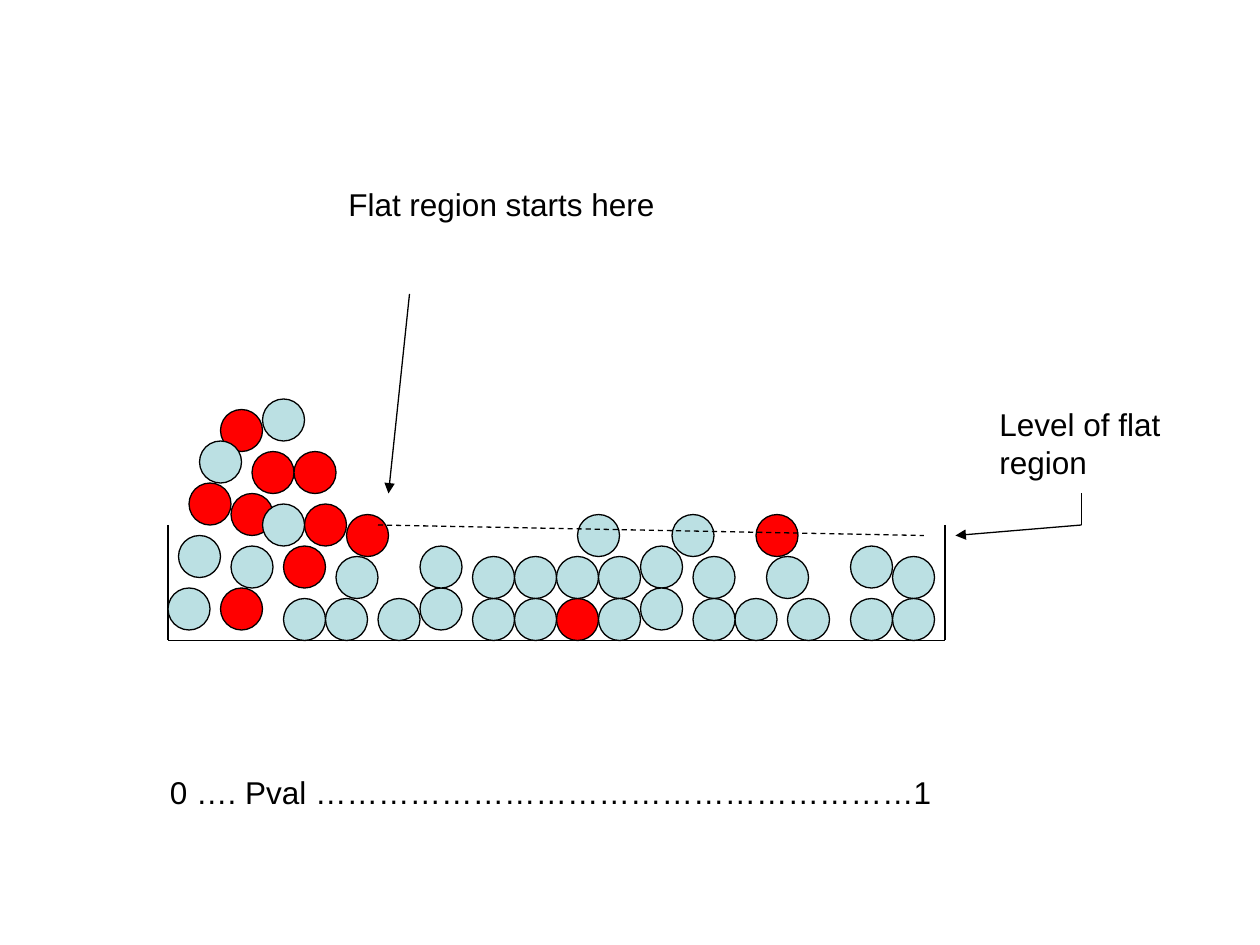
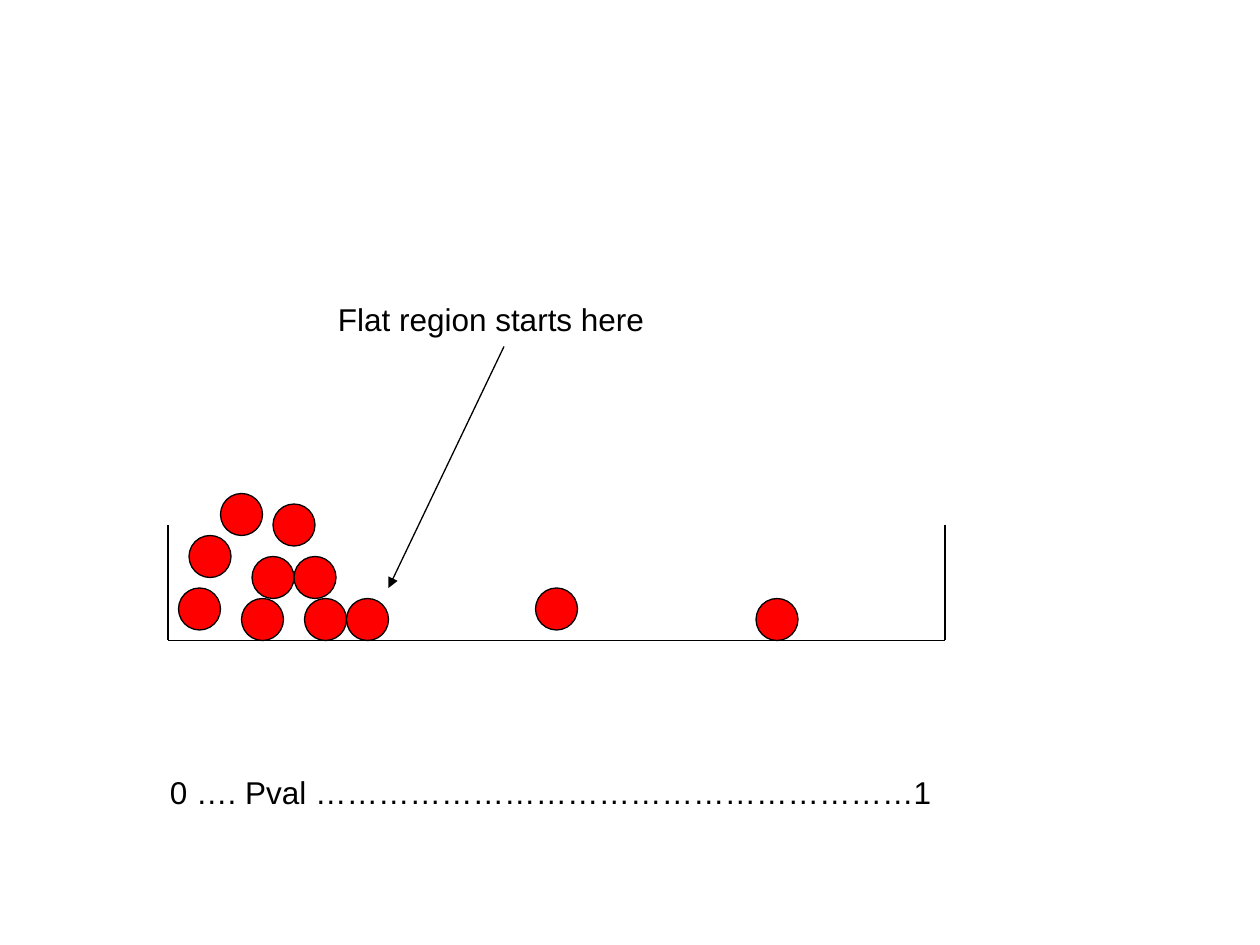
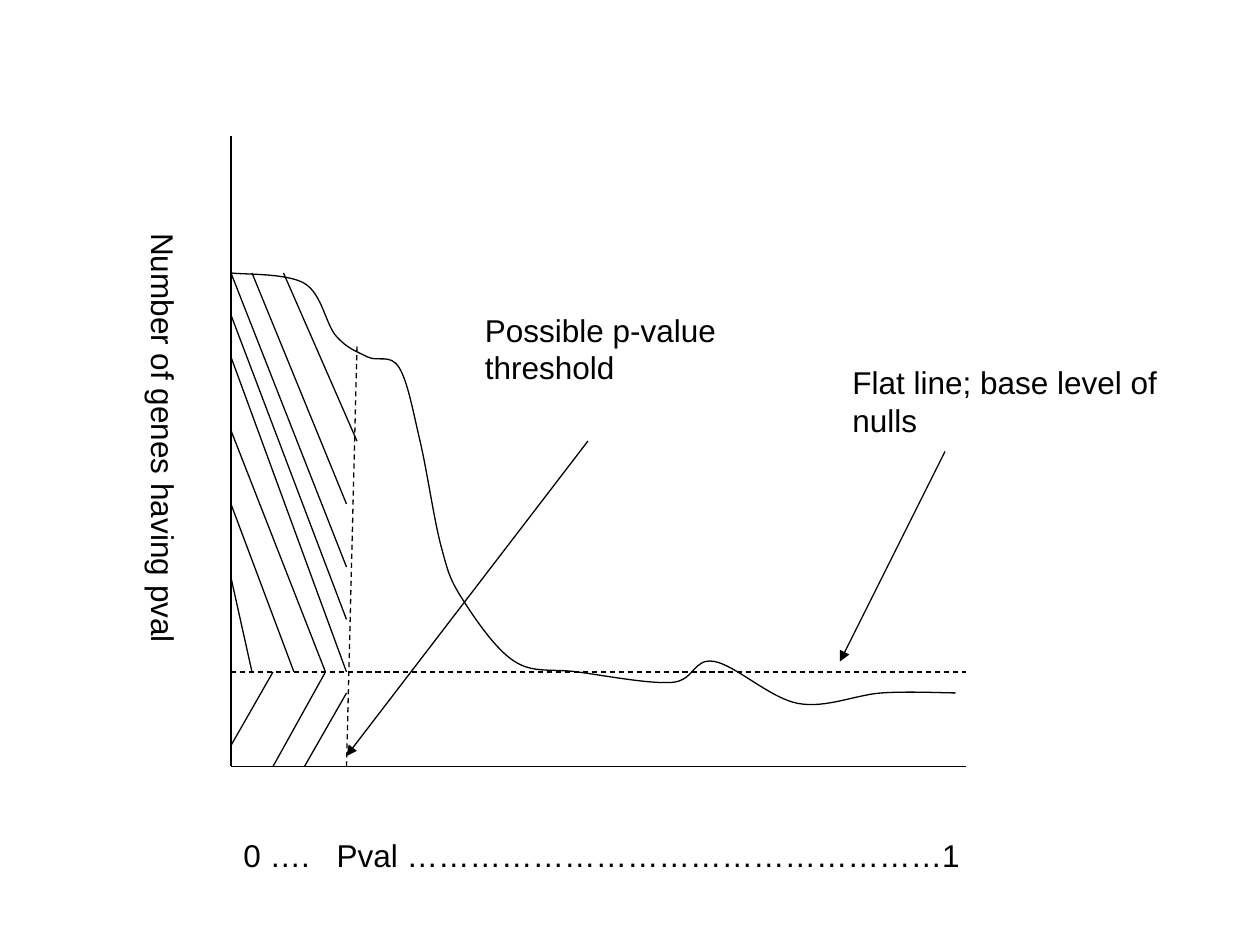
from typing import NamedTuple

from lxml import etree
from pptx import Presentation
from pptx.dml.color import RGBColor
from pptx.enum.dml import MSO_LINE
from pptx.enum.shapes import MSO_CONNECTOR, MSO_SHAPE
from pptx.enum.text import MSO_AUTO_SIZE
from pptx.oxml.ns import qn
from pptx.slide import Slide
from pptx.util import Inches, Length, Pt

BLACK = RGBColor(0x00, 0x00, 0x00)
RED = RGBColor(0xFF, 0x00, 0x00)
PALE_BLUE = RGBColor(0xBB, 0xE0, 0xE3)
FONT = "Arial"
FONT_SIZE = Pt(18)
LINE_WIDTH = Pt(0.75)
BALL_SIZE = 4
CELLS_PER_INCH = 12

STRAIGHT = MSO_CONNECTOR.STRAIGHT
OVAL = MSO_SHAPE.OVAL
DASH = MSO_LINE.DASH
FIT_SHAPE = MSO_AUTO_SIZE.SHAPE_TO_FIT_TEXT

Point = tuple[int, int]


class Stroke(NamedTuple):
    """A straight line between two grid points."""
    start: Point
    end: Point
    arrow: bool = False
    dashed: bool = False


class Label(NamedTuple):
    """Text in a box: grid position and width, height in inches."""
    text: str
    left: int
    top: int
    width: int
    height: float = 0.4
    vertical: bool = False
    tab_inches: float = 0


BIN = [
    Stroke((16, 50), (16, 61)),
    Stroke((90, 50), (90, 61)),
    Stroke((16, 61), (90, 61)),
]
BIN_SCALE = Label("0 …. Pval …………………………………………………1", 15, 73, 77)

MIXED_RED = [
    (18, 46), (22, 47), (24, 43), (21, 56), (29, 48), (28, 43),
    (21, 39), (53, 57), (72, 49), (33, 49), (27, 52),
]
MIXED_BLUE = [
    (16, 56), (17, 51), (25, 38), (22, 52), (27, 57), (19, 42), (25, 48),
    (31, 57), (45, 57), (32, 53), (36, 57), (40, 56), (40, 52), (45, 53),
    (49, 53), (49, 57), (53, 53), (55, 49), (57, 53), (57, 57), (81, 52),
    (81, 57), (85, 53), (85, 57), (75, 57), (70, 57), (64, 49), (66, 53),
    (66, 57), (61, 52), (61, 56), (73, 53),
]
MIXED_STROKES = [
    Stroke((39, 28), (37, 47), arrow=True),
    Stroke((36, 50), (88, 51), dashed=True),
    Stroke((103, 50), (91, 51), arrow=True),
    Stroke((103, 47), (103, 50)),
]
MIXED_LABELS = [
    Label("Flat region starts here", 32, 17, 42),
    Label("Level of flat region", 94, 38, 20, 0.7),
]

RED_ONLY = [
    (17, 56), (23, 57), (24, 53), (18, 51), (29, 57), (28, 53),
    (21, 47), (51, 56), (72, 57), (33, 57), (26, 48),
]
RED_ONLY_STROKES = [Stroke((48, 33), (37, 56), arrow=True)]
RED_ONLY_LABELS = [Label("Flat region starts here", 31, 28, 37)]

GENE_CURVE = [
    (22, 26), (29, 27), (32, 32), (35, 34), (38, 35), (40, 42), (42, 52),
    (44, 57), (49, 63), (55, 64), (64, 65), (68, 63), (76, 67), (84, 66),
    (91, 66),
]
AXES = [Stroke((22, 13), (22, 73)), Stroke((22, 73), (92, 73))]
NULL_LEVEL = Stroke((22, 64), (92, 64), dashed=True)
THRESHOLD = Stroke((33, 73), (34, 33), dashed=True)
CALLOUT_ARROWS = [
    Stroke((90, 43), (80, 63), arrow=True),
    Stroke((56, 42), (33, 72), arrow=True),
]
HATCH_BELOW_LEVEL = [
    Stroke((26, 64), (22, 71)),
    Stroke((31, 64), (26, 73)),
    Stroke((33, 66), (29, 73)),
]
HATCH_ABOVE_LEVEL = [
    Stroke((22, 55), (24, 64)),
    Stroke((22, 48), (28, 64)),
    Stroke((22, 41), (31, 64)),
    Stroke((22, 34), (33, 64)),
    Stroke((22, 30), (33, 59)),
    Stroke((22, 26), (33, 54)),
    Stroke((24, 26), (33, 48)),
    Stroke((27, 26), (34, 42)),
]
CURVE_LABELS = [
    Label("0 ….\tPval ……………………………………………1", 22, 79, 71, tab_inches=0.74),
    Label("Flat line; base level of nulls", 80, 34, 32, 0.7),
    Label("Number of genes having pval", 12, 21, 6, 4.17, vertical=True),
    Label("Possible p-value threshold", 45, 29, 27, 0.7),
]


def grid(cells: float) -> Length:
    return Inches(cells / CELLS_PER_INCH)


def style_line(shape) -> None:
    shape.line.color.rgb = BLACK
    shape.line.width = LINE_WIDTH


def draw_strokes(slide: Slide, strokes: list[Stroke]) -> None:
    for stroke in strokes:
        connector = slide.shapes.add_connector(
            STRAIGHT, *map(grid, stroke.start + stroke.end))
        style_line(connector)
        if stroke.dashed:
            connector.line.dash_style = DASH
        properties = connector._element.spPr
        if stroke.arrow:
            etree.SubElement(properties.find(qn("a:ln")), qn("a:tailEnd"),
                             type="triangle")
        etree.SubElement(properties, qn("a:effectLst"))


def draw_balls(slide: Slide, positions: list[Point], color: RGBColor) -> None:
    for left, top in positions:
        ball = slide.shapes.add_shape(
            OVAL, *map(grid, (left, top, BALL_SIZE, BALL_SIZE)))
        ball.shadow.inherit = False
        ball.fill.solid()
        ball.fill.fore_color.rgb = color
        style_line(ball)


def draw_labels(slide: Slide, labels: list[Label]) -> None:
    for label in labels:
        box = slide.shapes.add_textbox(
            grid(label.left), grid(label.top), grid(label.width),
            Inches(label.height))
        frame = box.text_frame
        frame.word_wrap = True
        frame.auto_size = FIT_SHAPE
        if label.vertical:
            frame._txBody.bodyPr.set("vert", "eaVert")
            frame.margin_left = frame.margin_right = Inches(0.05)
            frame.margin_top = frame.margin_bottom = Inches(0.1)
        paragraph = frame.paragraphs[0]
        paragraph.text = label.text
        if label.tab_inches:
            stops = etree.SubElement(paragraph._p.get_or_add_pPr(),
                                     qn("a:tabLst"))
            etree.SubElement(stops, qn("a:tab"), algn="l",
                             pos=str(Inches(label.tab_inches)))
        paragraph.font.name = FONT
        paragraph.font.size = FONT_SIZE
        paragraph.font.color.rgb = BLACK


def draw_smooth_curve(slide: Slide, knots: list[Point]) -> None:
    """Join the knots by Bézier pieces whose tangents follow the neighbours."""
    points = [(grid(x), grid(y)) for x, y in knots]
    builder = slide.shapes.build_freeform(*points[0])
    builder.add_line_segments(points[1:], close=False)
    curve = builder.convert_to_shape()
    curve.shadow.inherit = False
    curve.fill.background()
    style_line(curve)

    padded = [points[0], *points, points[-1]]
    tangents = [((after[0] - before[0]) / 6, (after[1] - before[1]) / 6)
                for before, after in zip(padded, padded[2:])]
    segments = list(curve._element.iter(qn("a:lnTo")))
    for i, segment in enumerate(segments):
        (x1, y1), (x2, y2) = points[i:i + 2]
        (dx1, dy1), (dx2, dy2) = tangents[i:i + 2]
        segment.tag = qn("a:cubicBezTo")
        controls = [(x1 + dx1, y1 + dy1), (x2 - dx2, y2 - dy2)]
        for position, (x, y) in enumerate(controls):
            handle = etree.Element(qn("a:pt"), x=str(round(x - curve.left)),
                                   y=str(round(y - curve.top)))
            segment.insert(position, handle)


def draw_bin(slide: Slide) -> None:
    draw_strokes(slide, BIN)
    draw_labels(slide, [BIN_SCALE])


def main() -> None:
    deck = Presentation()
    deck.slide_width = Inches(10)
    deck.slide_height = Inches(7.5)
    blank = deck.slide_layouts[6]

    mixed = deck.slides.add_slide(blank)
    draw_bin(mixed)
    draw_balls(mixed, MIXED_RED, RED)
    draw_balls(mixed, MIXED_BLUE, PALE_BLUE)
    draw_strokes(mixed, MIXED_STROKES)
    draw_labels(mixed, MIXED_LABELS)

    red_only = deck.slides.add_slide(blank)
    draw_bin(red_only)
    draw_balls(red_only, RED_ONLY, RED)
    draw_labels(red_only, RED_ONLY_LABELS)
    draw_strokes(red_only, RED_ONLY_STROKES)

    density = deck.slides.add_slide(blank)
    draw_strokes(density, AXES)
    draw_smooth_curve(density, GENE_CURVE)
    draw_labels(density, CURVE_LABELS)
    draw_strokes(density, [NULL_LEVEL, THRESHOLD, *CALLOUT_ARROWS])
    draw_strokes(density, HATCH_BELOW_LEVEL + HATCH_ABOVE_LEVEL)

    deck.save("out.pptx")


if __name__ == "__main__":
    main()
